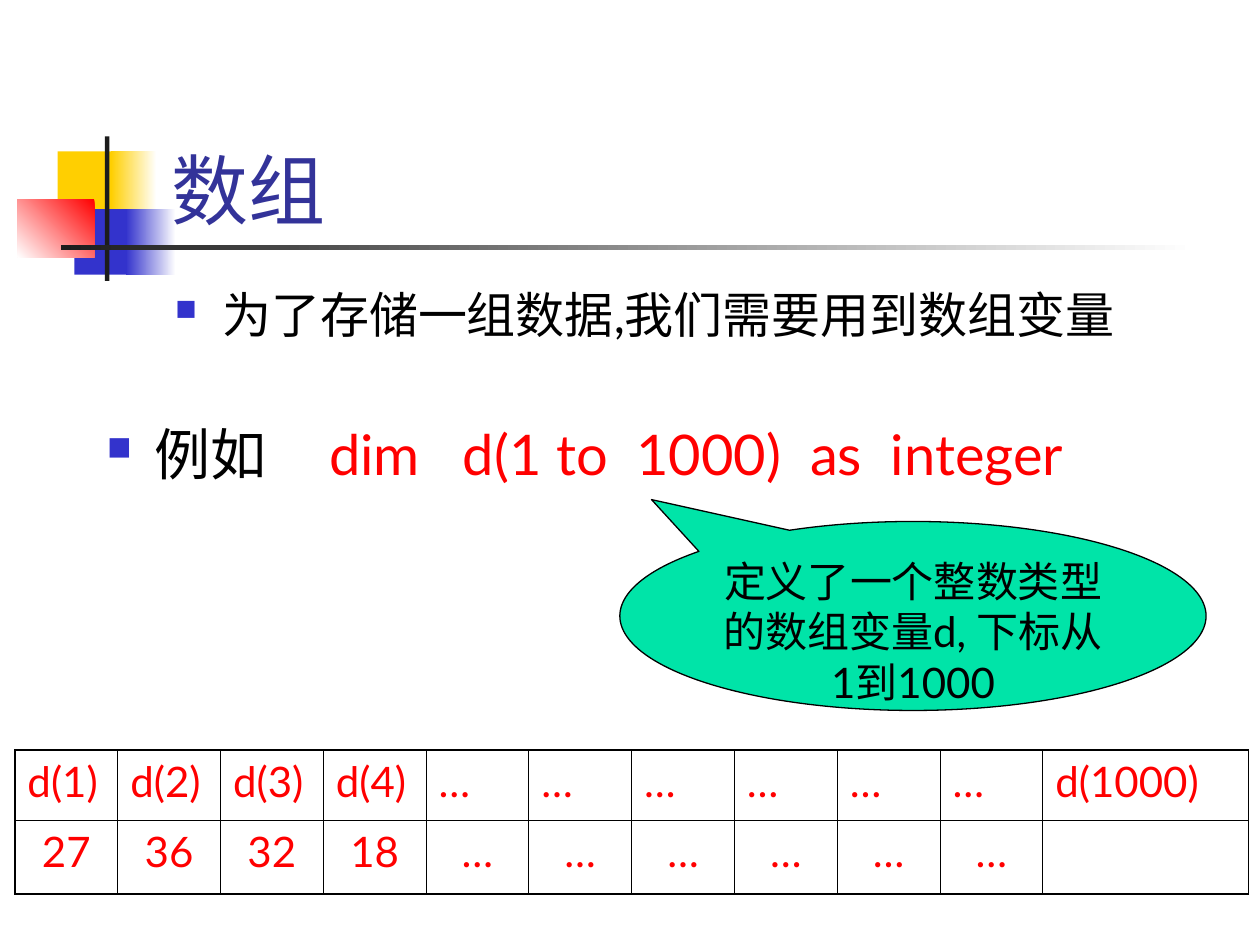
import pptx
import pptx.dml.color
import pptx.enum.shapes
import pptx.enum.text
import pptx.oxml
import pptx.oxml.ns
import pptx.util
from lxml import etree

Pt = pptx.util.Pt
SHAPES = pptx.enum.shapes.MSO_SHAPE
ALIGN = pptx.enum.text.PP_ALIGN
ANCHOR = pptx.enum.text.MSO_ANCHOR
COLORS = {
    "yellow": "FFCF01", "blue": "3333CC", "red": "FF0000", "white": "FFFFFF",
    "bar": "1C1C1C", "title": "333399", "black": "000000", "green": "00E4A8",
}


class SlideBuilder:
    """Hold the style and the current slide, and add each kind of element."""

    def __init__(self, slide, font_name):
        self.slide = slide
        self.font_name = font_name

    def color(self, name):
        return pptx.dml.color.RGBColor.from_string(COLORS[name])

    def add_runs(self, paragraph, runs, size):
        for text, color in runs:
            run = paragraph.add_run()
            run.text = text
            run.font.size = Pt(size)
            run.font.name = self.font_name
            run.font.color.rgb = self.color(color)

    def shape(self, kind, box, fill):
        shape = self.slide.shapes.add_shape(kind, *map(Pt, box))
        shape.shadow.inherit = False
        shape.fill.solid()
        shape.fill.fore_color.rgb = self.color(fill)
        shape.line.fill.background()
        return shape

    def gradient(self, box, start, end, angle):
        shape = self.shape(SHAPES.RECTANGLE, box, start)
        shape.fill.gradient()
        shape.fill.gradient_angle = angle
        for stop, color, position in zip(shape.fill.gradient_stops, (start, end), (0, 1)):
            stop.color.rgb = self.color(color)
            stop.position = position

    def bullet(self, paragraph, tab):
        properties = paragraph._p.get_or_add_pPr()
        properties.set("marL", str(Pt(27)))
        properties.set("indent", str(Pt(-27)))
        namespace = pptx.oxml.ns.nsdecls("a")
        elements = [
            f'<a:buClr {namespace}><a:srgbClr val="{COLORS["blue"]}"/></a:buClr>',
            f'<a:buSzPct {namespace} val="60000"/>',
            f'<a:buChar {namespace} char="■"/>',
        ]
        if tab:
            elements.append(f'<a:tabLst {namespace}><a:tab pos="{Pt(tab)}" algn="l"/></a:tabLst>')
        for element in elements:
            properties.append(pptx.oxml.parse_xml(element))

    def text(self, box, runs, size, anchor=ANCHOR.TOP, bullet=False, tab=None):
        frame = self.slide.shapes.add_textbox(*map(Pt, box)).text_frame
        frame.word_wrap = True
        frame.vertical_anchor = anchor
        if bullet:
            self.bullet(frame.paragraphs[0], tab)
        self.add_runs(frame.paragraphs[0], runs, size)

    def callout(self, box, tip, runs, size):
        shape = self.shape(SHAPES.OVAL_CALLOUT, box, "green")
        shape.line.color.rgb = self.color("black")
        shape.line.width = Pt(0.75)
        for index, offset in enumerate(tip):
            shape.adjustments[index] = offset
        frame = shape.text_frame
        frame.word_wrap = True
        frame.vertical_anchor = ANCHOR.TOP
        frame.paragraphs[0].alignment = ALIGN.CENTER
        self.add_runs(frame.paragraphs[0], runs, size)

    def border(self, cell, side, width):
        properties = cell._tc.get_or_add_tcPr()
        line = etree.SubElement(properties, pptx.oxml.ns.qn(f"a:ln{side}"), w=str(Pt(width)))
        fill = etree.SubElement(line, pptx.oxml.ns.qn("a:solidFill"))
        etree.SubElement(fill, pptx.oxml.ns.qn("a:srgbClr"), val=COLORS["black"])

    def table(self, left, top, widths, heights, rows, alignments, size):
        box = map(Pt, (left, top, sum(widths), sum(heights)))
        table = self.slide.shapes.add_table(len(rows), len(widths), *box).table
        for column, width in zip(table.columns, widths):
            column.width = Pt(width)
        for row, height in zip(table.rows, heights):
            row.height = Pt(height)
        for row_index, values in enumerate(rows):
            for column_index, value in enumerate(values):
                cell = table.cell(row_index, column_index)
                outer_sides = {
                    "L": column_index == 0,
                    "R": column_index == len(widths) - 1,
                    "T": row_index == 0,
                    "B": row_index == len(rows) - 1,
                }
                for side, outer in outer_sides.items():
                    self.border(cell, side, 1.08 if outer else 0.45)
                cell.fill.background()
                paragraph = cell.text_frame.paragraphs[0]
                paragraph.alignment = alignments[row_index]
                if value:
                    self.add_runs(paragraph, [(value, "red")], size)


def main():
    presentation = pptx.Presentation()
    presentation.slide_width = Pt(720)
    presentation.slide_height = Pt(540)
    slide = presentation.slides.add_slide(presentation.slide_layouts[6])
    builder = SlideBuilder(slide, "Lato")

    builder.shape(SHAPES.RECTANGLE, (33, 86.5, 34.5, 37.5), "yellow")
    builder.gradient((63.5, 86.5, 26, 37.5), "white", "yellow", 180)
    builder.shape(SHAPES.RECTANGLE, (42.5, 119.5, 33, 37.5), "blue")
    builder.gradient((72, 119.5, 28.5, 37.5), "white", "blue", 180)
    builder.gradient((10, 113.75, 44, 33.25), "red", "white", 225)
    builder.shape(SHAPES.RECTANGLE, (60, 78, 2.5, 82.5), "bar")
    builder.gradient((34.75, 140.25, 648, 2.5), "white", "bar", 180)

    builder.text((91, 48, 613.5, 90), [("数组", "title")], 44, anchor=ANCHOR.BOTTOM)
    builder.text((93, 159, 612.5, 49), [("为了存储一组数据,我们需要用到数组变量", "black")], 28, bullet=True)
    declaration = [("例如\t", "black"), ("dim   d(1 to  1000)  as  integer", "red")]
    builder.text((54, 236, 607, 49), declaration, 32, bullet=True, tab=127)
    explanation = [("定义了一个整数类型的数组变量d, 下标从1到1000", "black")]
    builder.callout((354.25, 298, 335, 108), (-0.446, -0.616), explanation, 24)

    gaps = ["…"] * 6
    rows = [
        [f"d({index})" for index in range(1, 5)] + gaps + ["d(1000)"],
        ["27", "36", "32", "18"] + gaps + [""],
    ]
    widths = [58.75] * 10 + [117.5]
    builder.table(8.5, 428.5, widths, (40.25, 42.25), rows, (ALIGN.LEFT, ALIGN.CENTER), 24)
    presentation.save("out.pptx")


if __name__ == "__main__":
    main()
